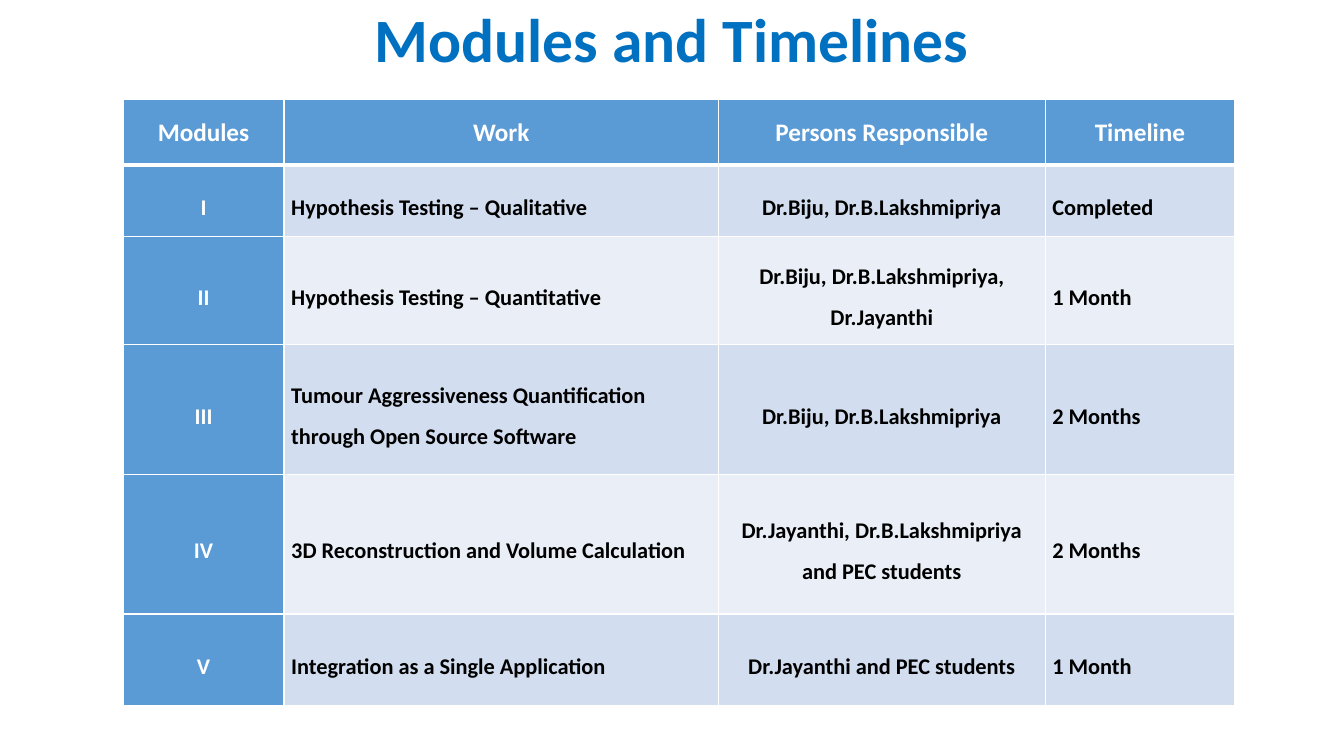
from dataclasses import dataclass

from lxml.etree import SubElement
from pptx import Presentation
from pptx.dml.color import RGBColor
from pptx.enum.text import MSO_ANCHOR as Anchor, PP_ALIGN as Align
from pptx.oxml.ns import qn
from pptx.slide import Slide
from pptx.table import _Cell as Cell
from pptx.util import Cm, Pt

WHITE, BLACK, BLUE = "FFFFFF", "000000", "5B9BD5"
BANDS = ("D2DEEF", "EAEFF7")
WIDTHS = (4.06, 10.95, 8.23, 4.78)
HEADS = ("Modules", "Work", "Persons Responsible", "Timeline")


@dataclass
class Module:
    label: str
    work: str
    people: str
    time: str
    height: float


@dataclass
class Style:
    size: int
    color: str
    fill: str
    align: Align
    space: float = 1.5
    top: int = 1
    base: int = 1


MODULES = (
    Module("I", "Hypothesis Testing – Qualitative",
           "Dr.Biju, Dr.B.Lakshmipriya", "Completed", 1.8),
    Module("II", "Hypothesis Testing – Quantitative",
           "Dr.Biju, Dr.B.Lakshmipriya, Dr.Jayanthi", "1 Month", 2.72),
    Module("III", "Tumour Aggressiveness Quantification through Open Source Software",
           "Dr.Biju, Dr.B.Lakshmipriya", "2 Months", 3.28),
    Module("IV", "3D Reconstruction and Volume Calculation",
           "Dr.Jayanthi, Dr.B.Lakshmipriya and PEC students", "2 Months", 3.51),
    Module("V", "Integration as a Single Application",
           "Dr.Jayanthi and PEC students", "1 Month", 2.3),
)


def paint(color: str) -> RGBColor:
    return RGBColor.from_string(color)


def write(para, text: str, size: int, color: str, align: Align, space: float) -> None:
    para.text = text
    para.alignment = align
    para.line_spacing = space
    font = para.font
    font.name, font.size, font.bold = "Calibri", Pt(size), True
    font.color.rgb = paint(color)


def border(cell: Cell, side: str, width: int) -> None:
    props = cell._tc.get_or_add_tcPr()
    line = SubElement(props, qn(f"a:ln{side}"), w=str(Pt(width)))
    SubElement(SubElement(line, qn("a:solidFill")), qn("a:srgbClr"), val=WHITE)


def fill_cell(cell: Cell, text: str, style: Style) -> None:
    for side, width in zip("LRTB", (1, 1, style.top, style.base)):
        border(cell, side, width)
    cell.fill.solid()
    cell.fill.fore_color.rgb = paint(style.fill)
    cell.vertical_anchor = Anchor.MIDDLE
    cell.margin_left = cell.margin_right = Cm(0.18)
    cell.margin_top = cell.margin_bottom = 0
    write(cell.text_frame.paragraphs[0], text, style.size, style.color,
          style.align, style.space)


def add_title(slide: Slide, text: str) -> None:
    frame = slide.shapes.add_textbox(0, 0, Cm(33.87), Cm(2.13)).text_frame
    frame.word_wrap = True
    frame.vertical_anchor = Anchor.MIDDLE
    write(frame.paragraphs[0], text, 44, "0070C0", Align.CENTER, 0.9)


def add_plan(slide: Slide) -> None:
    heights = (1.65, *(mod.height for mod in MODULES))
    table = slide.shapes.add_table(
        len(heights), len(WIDTHS), Cm(3.1), Cm(2.51),
        Cm(sum(WIDTHS)), Cm(sum(heights))).table
    for column, width in zip(table.columns, WIDTHS):
        column.width = Cm(width)
    for row, height in zip(table.rows, heights):
        row.height = Cm(height)
    head = Style(18, WHITE, BLUE, Align.CENTER, space=1.0, base=3)
    for col, text in enumerate(HEADS):
        fill_cell(table.cell(0, col), text, head)
    for row, mod in enumerate(MODULES, 1):
        band = BANDS[(row - 1) % 2]
        top = 3 if row == 1 else 1
        side = Style(16, WHITE, BLUE, Align.CENTER, top=top)
        left = Style(16, BLACK, band, Align.LEFT, top=top)
        mid = Style(16, BLACK, band, Align.CENTER, top=top)
        texts = (mod.label, mod.work, mod.people, mod.time)
        for col, (text, style) in enumerate(zip(texts, (side, left, mid, left))):
            fill_cell(table.cell(row, col), text, style)


def main() -> None:
    deck = Presentation()
    deck.slide_width, deck.slide_height = Cm(33.87), Cm(19.05)
    slide = deck.slides.add_slide(deck.slide_layouts[6])
    add_title(slide, "Modules and Timelines")
    add_plan(slide)
    deck.save("out.pptx")


if __name__ == "__main__":
    main()
